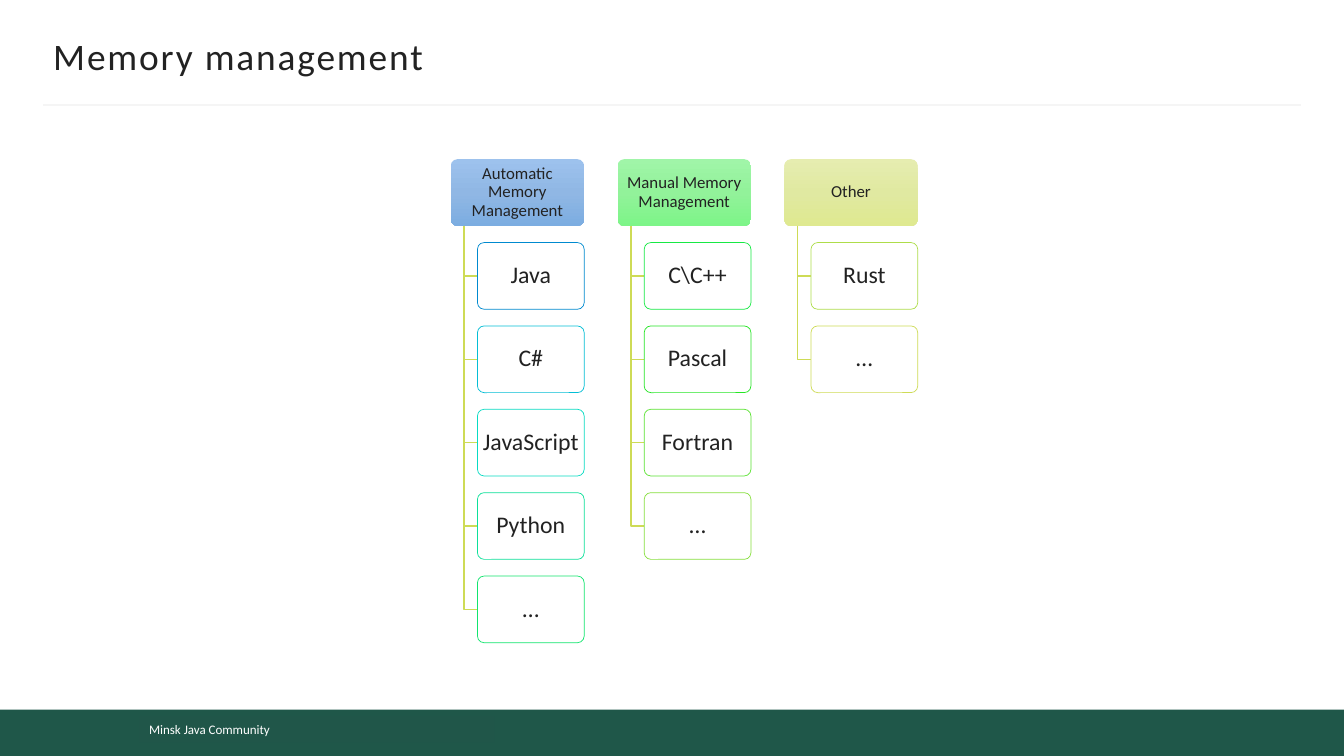
from copy import deepcopy

from pptx import Presentation
from pptx.dml.color import RGBColor
from pptx.enum import shapes, text
from pptx.oxml import ns, xmlchemy
from pptx.util import Pt

HUES = {
    "ink": "222222", "white": "FFFFFF", "rule": "F5F5F5",
    "band": "1F5749", "label": "205649", "branch": "CEDB56",
}
KIND = shapes.MSO_SHAPE


def write(shape, words, size, color="ink", align="LEFT", inset=(0, 0), wrap=True, space=1.0, track=0):
    frame = shape.text_frame
    frame.word_wrap = wrap
    frame.vertical_anchor = text.MSO_ANCHOR.MIDDLE
    frame.margin_left = frame.margin_right = Pt(inset[0])
    frame.margin_top = frame.margin_bottom = Pt(inset[1])
    para = frame.paragraphs[0]
    para.alignment = getattr(text.PP_ALIGN, align)
    para.line_spacing = space
    run = para.add_run()
    run.text = words
    run.font.name = "Calibri"
    run.font.size = Pt(size)
    run.font.color.rgb = RGBColor.from_string(HUES[color])
    if track:
        run.font._element.set("spc", str(track))


def block(kind, left, top, width, height, fill, line=None):
    shape = slide.shapes.add_shape(kind, Pt(left), Pt(top), Pt(width), Pt(height))
    shape.shadow.inherit = False
    if kind == KIND.ROUNDED_RECTANGLE:
        shape.adjustments[0] = 0.1
    if isinstance(fill, list):
        shape.fill.gradient()
        shape.fill.gradient_angle = 270
        stops = shape._element.spPr.find(ns.qn("a:gradFill")).find(ns.qn("a:gsLst"))
        stops.insert(1, deepcopy(stops[0]))
        for stop, hue, place in zip(shape.fill.gradient_stops, fill, (0, 0.5, 1)):
            stop.color.rgb = RGBColor.from_string(hue)
            stop.position = place
    else:
        shape.fill.solid()
        shape.fill.fore_color.rgb = RGBColor.from_string(fill)
    if line:
        shape.line.color.rgb = RGBColor.from_string(line)
        shape.line.width = Pt(0.5)
    else:
        shape.line.fill.background()
    return shape


deck = Presentation()
deck.slide_width, deck.slide_height = Pt(960), Pt(540)
slide = deck.slides.add_slide(deck.slide_layouts[6])

# Footer
block(KIND.RECTANGLE, 0, 506.9, 960, 33.1, HUES["band"])
label = block(KIND.RECTANGLE, 99.4, 511.5, 254, 18.7, HUES["label"])
write(label, "Minsk Java Community", 9.3, color="white", inset=(7.2, 0))

# Title and rule
rule = slide.shapes.add_connector(shapes.MSO_CONNECTOR.STRAIGHT, Pt(31), Pt(74.9), Pt(929), Pt(74.9))
rule.line.color.rgb = RGBColor.from_string(HUES["rule"])
rule.line.width = Pt(1.5)
rule._element.spPr.append(xmlchemy.OxmlElement("a:effectLst"))
title = slide.shapes.add_textbox(Pt(38), Pt(23.8), Pt(885), Pt(31.7))
write(title, "Memory management", 26.7, inset=(0, 3.6), wrap=False, track=130)

# Hierarchy: one column per kind of memory management
COLUMNS = [
    ("Automatic Memory Management", ["9DC2ED", "90B7E4", "7CADE1"],
     [("Java", "008ACF"), ("C#", "04BED5"), ("JavaScript", "08DBC3"),
      ("Python", "0CE099"), ("…", "11E56E")]),
    ("Manual Memory Management", ["A0F5A8", "92F29A", "7DF588"],
     [("C\\C++", "17E944"), ("Pascal", "26E525"), ("Fortran", "5AE231"), ("…", "87DF3E")]),
    ("Other", ["E6EDB0", "E0E9A1", "DFE990"],
     [("Rust", "AEDD4A"), ("…", "CEDB56")]),
]
LEFT, TOP, WIDE, HIGH = 322, 113.7, 95.3, 47.64
ACROSS, DOWN = WIDE * 1.25, HIGH * 1.25
INDENT = WIDE / 5

for col, (head, fade, items) in enumerate(COLUMNS):
    left = LEFT + col * ACROSS
    header = block(KIND.ROUNDED_RECTANGLE, left, TOP, WIDE, HIGH, fade)
    write(header, head, 12, align="CENTER", inset=(3.6, 2.8), space=0.9)
    for row, (name, edge) in enumerate(items, 1):
        top = TOP + row * DOWN
        stem, middle = left + INDENT / 2, top + HIGH / 2
        path = slide.shapes.build_freeform(Pt(stem), Pt(TOP + HIGH))
        path.add_line_segments(
            [(Pt(stem), Pt(middle)), (Pt(left + INDENT), Pt(middle))], close=False)
        branch = path.convert_to_shape()
        branch.shadow.inherit = False
        branch.fill.background()
        branch.line.color.rgb = RGBColor.from_string(HUES["branch"])
        branch.line.width = Pt(1)
        item = block(KIND.ROUNDED_RECTANGLE, left + INDENT, top,
                     WIDE - INDENT, HIGH, HUES["white"], edge)
        write(item, name, 17, align="CENTER", inset=(0, 2.8), wrap=False, space=0.9)

deck.save("out.pptx")
